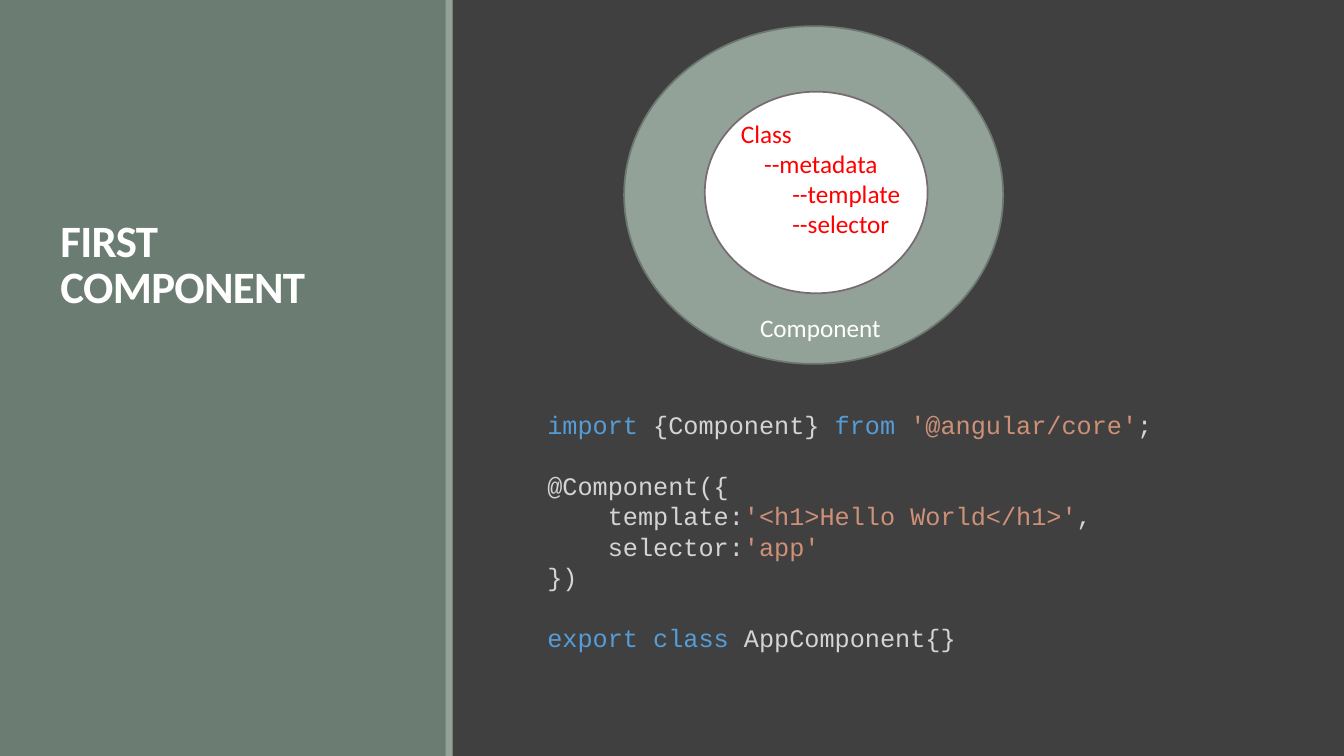
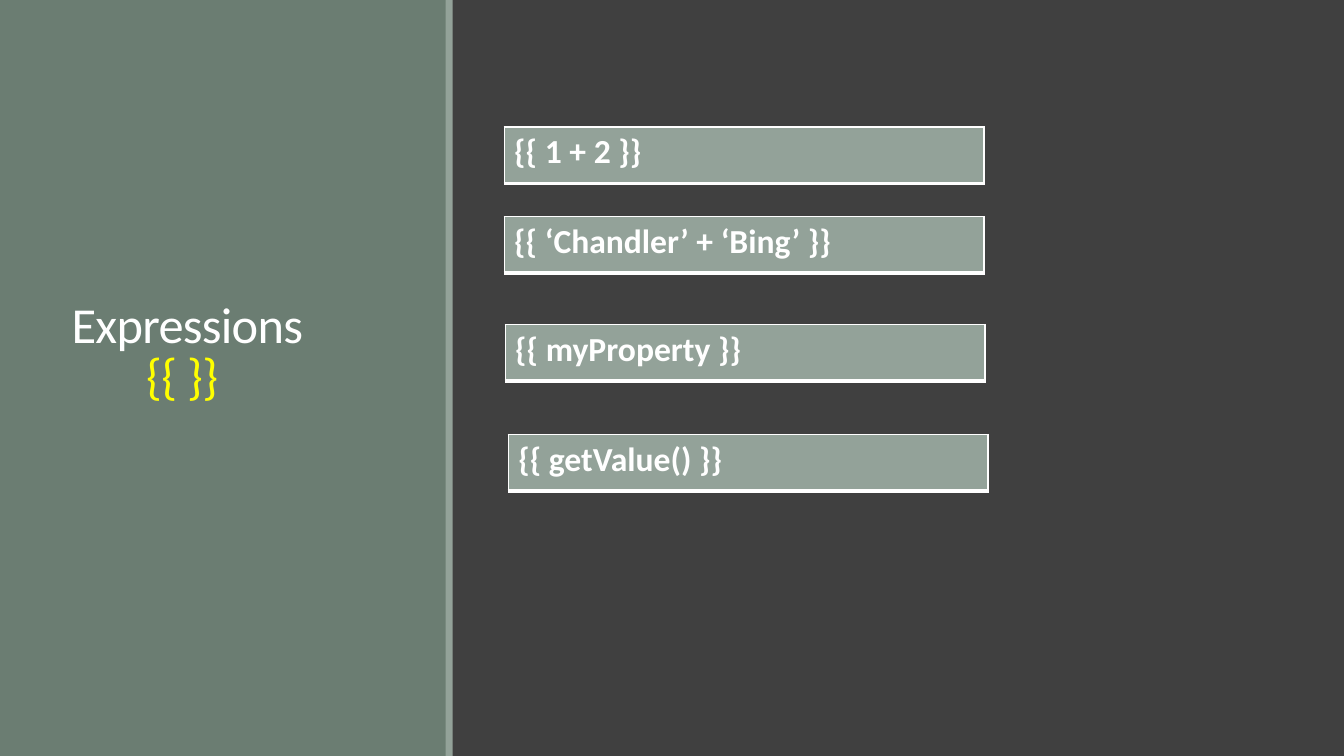
from dataclasses import dataclass

from lxml.etree import SubElement
from pptx import Presentation
from pptx.dml.color import RGBColor
from pptx.enum.shapes import MSO_SHAPE
from pptx.enum.text import MSO_ANCHOR, MSO_AUTO_SIZE, PP_ALIGN
from pptx.oxml.ns import qn
from pptx.shapes.autoshape import Shape
from pptx.slide import Slide
from pptx.text.text import TextFrame
from pptx.util import Inches, Pt


@dataclass(frozen=True)
class Theme:
    background: str = "404040"
    panel: str = "6B7D72"
    accent: str = "93A299"
    white: str = "FFFFFF"
    red: str = "FF0000"
    yellow: str = "FFFF00"
    outer_line: str = "6D7871"
    inner_line: str = "786C71"
    keyword: str = "569CD6"
    plain: str = "D4D4D4"
    string: str = "CE9178"
    font: str = "Calibri"
    code_font: str = "Courier New"
    body_size: float = 18
    title_size: float = 32
    large_title_size: float = 36
    expression_size: float = 24
    code_line: float = 21.7


THEME = Theme()


@dataclass(frozen=True)
class Area:
    left: float
    top: float
    width: float
    height: float

    def lengths(self) -> tuple:
        return tuple(Inches(n) for n in (self.left, self.top, self.width, self.height))


@dataclass(frozen=True)
class Span:
    text: str
    color: str


@dataclass(frozen=True)
class Line:
    spans: tuple[Span, ...]
    indent: float = 0
    before: float = 0


@dataclass(frozen=True)
class Style:
    size: float
    font: str = THEME.font
    bold: bool = False
    spacing: float | None = None  # a float is a multiple, Pt an exact height
    tracking: float = 0


@dataclass(frozen=True)
class Expression:
    text: str
    left: float
    top: float


def line(text: str, color: str, indent: float = 0) -> Line:
    return Line((Span(text, color),), indent)


# Text and shapes
def write(frame: TextFrame, lines: list[Line], style: Style) -> None:
    for index, item in enumerate(lines):
        para = frame.add_paragraph() if index else frame.paragraphs[0]
        para.alignment = PP_ALIGN.LEFT
        para.space_before = Pt(item.before)
        para.line_spacing = style.spacing
        para.font.name = style.font
        para.font.size = Pt(style.size)
        para.font.bold = style.bold
        properties = para._p.get_or_add_pPr()
        properties.set("marL", str(Inches(item.indent)))
        properties.set("indent", "0")
        if style.tracking:
            properties.find(qn("a:defRPr")).set("spc", str(round(style.tracking * 100)))
        if len(item.spans) == 1:
            para.font.color.rgb = RGBColor.from_string(item.spans[0].color)
        for span in item.spans:
            run = para.add_run()
            run.text = span.text
            if len(item.spans) > 1:
                run.font.color.rgb = RGBColor.from_string(span.color)


def add_text(page: Slide, area: Area, lines: list[Line], style: Style) -> None:
    frame = page.shapes.add_textbox(*area.lengths()).text_frame
    frame.word_wrap = True
    write(frame, lines, style)


def add_filled(page: Slide, kind: MSO_SHAPE, area: Area, fill: str,
               outline: str | None = None) -> Shape:
    shape = page.shapes.add_shape(kind, *area.lengths())
    shape.shadow.inherit = False
    shape.fill.solid()
    shape.fill.fore_color.rgb = RGBColor.from_string(fill)
    if outline:
        shape.line.color.rgb = RGBColor.from_string(outline)
        shape.line.width = Pt(1.25)
    else:
        shape.line.fill.background()
    return shape


def add_expression(page: Slide, expression: Expression) -> None:
    area = Area(expression.left, expression.top, 4.76, 0.56)
    table = page.shapes.add_table(1, 1, *area.lengths()).table
    table.first_row = False
    table.horz_banding = False
    cell = table.cell(0, 0)
    write(cell.text_frame, [line(expression.text, THEME.white)],
          Style(THEME.expression_size, bold=True))
    properties = cell._tc.get_or_add_tcPr()
    for side, width in (("L", 1), ("R", 1), ("T", 1), ("B", 3)):
        border = SubElement(properties, qn(f"a:ln{side}"), w=str(Pt(width)))
        paint = SubElement(border, qn("a:solidFill"))
        SubElement(paint, qn("a:srgbClr"), val=THEME.white)
    cell.fill.solid()
    cell.fill.fore_color.rgb = RGBColor.from_string(THEME.accent)


# Shared frame: side panel, edge strip and title
def add_page(deck: Presentation, area: Area, lines: list[Line], style: Style) -> Slide:
    page = deck.slides.add_slide(deck.slide_layouts[5])
    add_filled(page, MSO_SHAPE.RECTANGLE, Area(0, 0, 4.43, 7.5), THEME.panel)
    add_filled(page, MSO_SHAPE.RECTANGLE, Area(4.42, 0, 0.07, 7.5), THEME.accent)
    title = page.shapes.title
    title.element.getparent().append(title.element)  # in front of the panel
    title.left, title.top, title.width, title.height = area.lengths()
    frame = title.text_frame
    frame.word_wrap = True
    frame.auto_size = MSO_AUTO_SIZE.NONE
    frame.vertical_anchor = MSO_ANCHOR.BOTTOM
    write(frame, lines, style)
    return page


def build_component(deck: Presentation) -> None:
    page = add_page(deck, Area(0.5, 0.65, 3.5, 2.5),
                    [line("FIRST COMPONENT", THEME.white)],
                    Style(THEME.title_size, bold=True, spacing=0.85, tracking=-0.5))

    # Component ring around its class
    body = Style(THEME.body_size)
    add_filled(page, MSO_SHAPE.OVAL, Area(6.19, 0.26, 3.76, 3.35),
               THEME.accent, THEME.outer_line)
    add_text(page, Area(7.44, 3.05, 1.76, 0.4), [line("Component", THEME.white)], body)
    add_filled(page, MSO_SHAPE.OVAL, Area(6.99, 0.91, 2.21, 2),
               THEME.white, THEME.inner_line)
    parts = (("Class", 0), ("--metadata", 0.23), ("--template", 0.51), ("--selector", 0.51))
    add_text(page, Area(7.25, 1.12, 2.13, 1.31),
             [line(text, THEME.red, indent) for text, indent in parts], body)

    # Code listing
    keyword, plain, string = THEME.keyword, THEME.plain, THEME.string
    gap = THEME.code_line
    code = [
        Line((Span("import", keyword), Span(" {Component} ", plain), Span("from ", keyword),
              Span("'@angular/core'", string), Span(";", plain))),
        Line((Span("@Component({", plain),), before=gap),
        Line((Span("template:", plain), Span("'<h1>Hello World</h1>'", string),
              Span(",", plain)), indent=0.6),
        Line((Span("selector:", plain), Span("'app'", string)), indent=0.6),
        line("})", plain),
        Line((Span("export class ", keyword), Span("AppComponent{}", plain)), before=gap),
    ]
    add_text(page, Area(5.33, 4.01, 6.67, 2.52), code,
             Style(THEME.body_size, THEME.code_font, spacing=Pt(THEME.code_line)))


def build_expressions(deck: Presentation) -> None:
    page = add_page(deck, Area(0.61, 2.89, 3.5, 1.18),
                    [line("Expressions", THEME.white), line("{{ }}", THEME.yellow, 0.74)],
                    Style(THEME.large_title_size, spacing=0.85, tracking=-0.5))
    for expression in (
        Expression("{{ 1 + 2 }}", 5, 1.26),
        Expression("{{ ‘Chandler’ + ‘Bing’ }}", 5, 2.15),
        Expression("{{ myProperty }}", 5.01, 3.22),
        Expression("{{ getValue() }}", 5.04, 4.31),
    ):
        add_expression(page, expression)


def main() -> None:
    deck = Presentation()
    deck.slide_width, deck.slide_height = Inches(13.33), Inches(7.5)
    backdrop = deck.slide_master.background.fill
    backdrop.solid()
    backdrop.fore_color.rgb = RGBColor.from_string(THEME.background)
    build_component(deck)
    build_expressions(deck)
    deck.save("out.pptx")


main()
